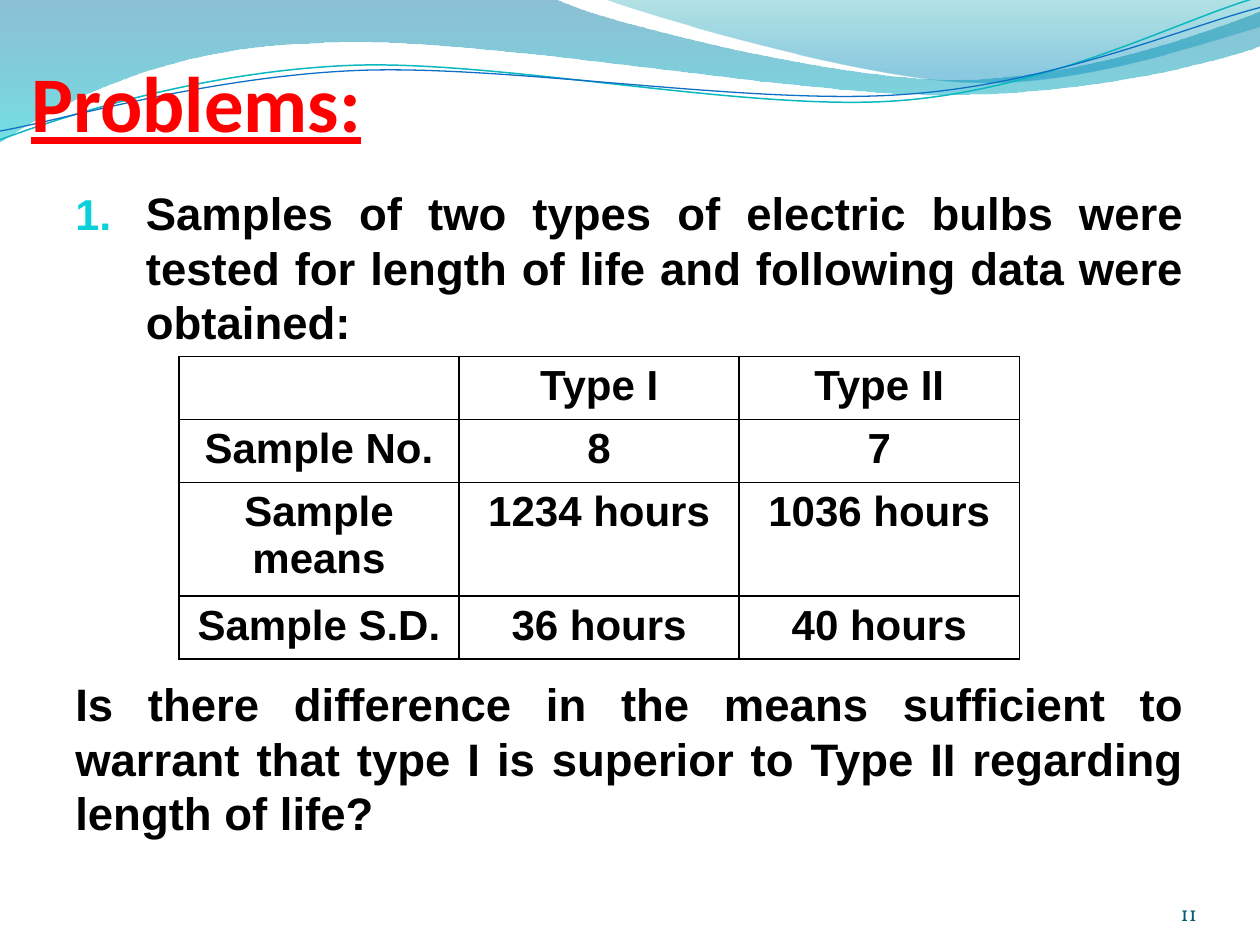
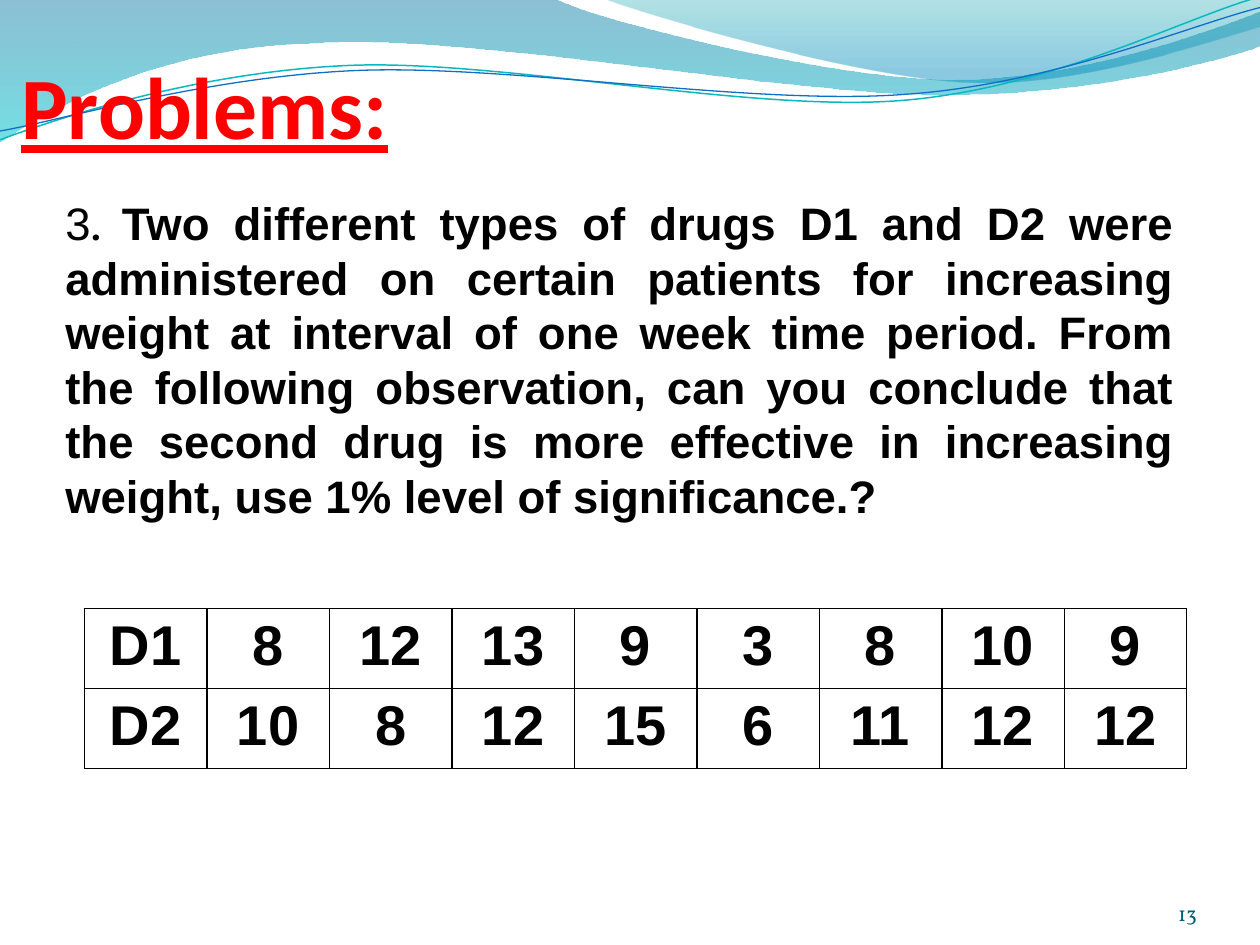
from lxml import etree
from pptx import Presentation
from pptx.dml.color import RGBColor
from pptx.enum.text import MSO_ANCHOR, PP_ALIGN
from pptx.oxml.ns import qn
from pptx.util import Inches, Pt

LEFT, CENTER, RIGHT = PP_ALIGN.LEFT, PP_ALIGN.CENTER, PP_ALIGN.RIGHT
JUSTIFY = PP_ALIGN.JUSTIFY
TOP, BOTTOM = MSO_ANCHOR.TOP, MSO_ANCHOR.BOTTOM

BLACK = RGBColor(0x00, 0x00, 0x00)
RED = RGBColor(0xFF, 0x00, 0x00)
PAGE = RGBColor(0x04, 0x5D, 0x75)
CYAN = RGBColor(0x0B, 0xD0, 0xD9)
TEAL = RGBColor(0x0A, 0xB8, 0xBF)
BLUE = RGBColor(0x0F, 0x6F, 0xC6)
DEEP = RGBColor(0x00, 0x74, 0xA1)
AQUA = RGBColor(0x00, 0xC6, 0xCF)
SEA = RGBColor(0x00, 0xA1, 0xA9)
SKY = RGBColor(0x00, 0x8B, 0xBF)

BODY = {"name": "Arial", "size": Pt(26), "bold": True}
PLAIN = BODY | {"bold": False}
HEAD = {"name": "Calibri", "bold": True, "underline": True}
FOOT = {"name": "Vollkorn", "size": Pt(12)}
ROW = 0.41

# Each wave is a start point and segments: 2 numbers a line, 6 a Bezier curve.
# Bands add gradient stops: position, colour, opacity in percent.
BANDS = [
    ((0, 0), [
        (4.4, -0.01),
        (4.76, 0.17, 6.64, 0.63, 7.58, 0.63),
        (8.53, 0.63, 9.58, 0.26, 10, 0.09),
        (10.01, 0.36),
        (9.83, 0.44, 8.7, 0.76, 7.46, 0.75),
        (6.22, 0.75, 3.82, 0.28, 2.57, 0.34),
        (1.29, 0.36, 0.46, 0.83, -0.01, 1.13),
    ], [(0, DEEP, 45), (1, AQUA, 55)]),
    ((4.79, -0.01), [
        (5.09, 0.11, 6.82, 0.62, 7.69, 0.65),
        (8.56, 0.69, 9.61, 0.32, 10, 0.21),
        (10, 0),
    ], [(0, SEA, 30), (0.8, SKY, 45)]),
]
CURVES = [
    ((0, 1.11), [
        (0.48, 0.93, 1.58, 0.57, 2.77, 0.52),
        (3.95, 0.47, 5.93, 0.89, 7.13, 0.8),
        (8.33, 0.71, 9.38, 0.15, 9.98, -0.02),
    ], TEAL, 0.85),
    ((0, 1.04), [
        (0.47, 0.96, 1.64, 0.61, 2.83, 0.56),
        (4.03, 0.51, 5.97, 0.84, 7.17, 0.75),
        (8.36, 0.67, 9.41, 0.21, 10, 0.06),
    ], BLUE, 0.75),
]


def add_wave(slide, start, parts, close):
    """Draw lines through all points, then join each curve's three into a Bezier."""
    pen = slide.shapes.build_freeform(*map(Inches, start))
    for part in parts:
        spots = [Inches(n) for n in part]
        pen.add_line_segments(list(zip(spots[::2], spots[1::2])), close=False)
    if close:
        pen.add_line_segments([], close=True)
    wave = pen.convert_to_shape()
    wave.shadow.inherit = False
    lines = iter(list(wave._element.iter(qn("a:lnTo"))))
    for part in parts:
        first = next(lines)
        if len(part) == 6:
            first.tag = qn("a:cubicBezTo")
            for _ in range(2):
                line = next(lines)
                first.append(line[0])
                line.getparent().remove(line)
    return wave


def add_band(slide, start, parts, stops):
    band = add_wave(slide, start, parts, True)
    band.line.fill.background()
    band.fill.gradient()
    band.fill.gradient_angle = 270
    for stop, (place, color, _) in zip(band.fill.gradient_stops, stops):
        stop.position = place
        stop.color.rgb = color
    tints = band._element.spPr.iter(qn("a:srgbClr"))
    for tint, (_, _, alpha) in zip(tints, stops):
        etree.SubElement(tint, qn("a:alpha"), val=str(alpha * 1000))


def add_curve(slide, start, parts, color, width):
    curve = add_wave(slide, start, parts, False)
    curve.fill.background()
    curve.line.color.rgb = color
    curve.line.width = Pt(width)


def add_text(para, runs, color=BLACK, align=LEFT):
    para.alignment = align
    for text, style in runs:
        run = para.add_run()
        run.text = text
        for key, value in style.items():
            setattr(run.font, key, value)
        run.font.color.rgb = color


def add_box(slide, box, anchor=TOP, inset=None):
    frame = slide.shapes.add_textbox(*map(Inches, box)).text_frame
    frame.word_wrap = True
    frame.vertical_anchor = anchor
    if inset:
        for side, gap in zip(("left", "top", "right", "bottom"), inset):
            setattr(frame, f"margin_{side}", Inches(gap))
    return frame


def number(para):
    """Give the paragraph a hanging coloured number."""
    props = para._p.get_or_add_pPr()
    props.set("marL", str(Inches(0.56)))
    props.set("indent", str(Inches(-0.56)))
    tint = etree.SubElement(props, qn("a:buClr"))
    etree.SubElement(tint, qn("a:srgbClr"), val=str(CYAN))
    etree.SubElement(props, qn("a:buSzPct"), val="95000")
    etree.SubElement(props, qn("a:buFont"), typeface="Arial")
    etree.SubElement(props, qn("a:buAutoNum"), type="arabicPeriod")


def set_border(cell):
    props = cell._tc.get_or_add_tcPr()
    for i, side in enumerate(("lnL", "lnR", "lnT", "lnB")):
        line = etree.Element(qn(f"a:{side}"), w=str(Pt(1)))
        fill = etree.SubElement(line, qn("a:solidFill"))
        etree.SubElement(fill, qn("a:srgbClr"), val=str(BLACK))
        props.insert(i, line)


def add_grid(slide, box, rows, size):
    """Add a table whose low rows grow to fit their text."""
    frame = slide.shapes.add_table(len(rows), len(rows[0]), *map(Inches, box))
    table = frame.table
    table.first_row = table.horz_banding = False
    for r, row in enumerate(rows):
        table.rows[r].height = Inches(ROW)
        for c, text in enumerate(row):
            cell = table.cell(r, c)
            cell.fill.background()
            set_border(cell)
            if text:
                add_text(cell.text_frame.paragraphs[0],
                         [(text, BODY | {"size": Pt(size)})], align=CENTER)
    frame.height = Inches(box[3])


def add_slide(deck, box, size, page):
    """Add a slide with the waves, title and page number."""
    slide = deck.slides.add_slide(deck.slide_layouts[6])
    for band in BANDS:
        add_band(slide, *band)
    for curve in CURVES:
        add_curve(slide, *curve)
    title = add_box(slide, box, BOTTOM, (0, 0.05, 0, 0))
    add_text(title.paragraphs[0], [("Problems:", HEAD | {"size": Pt(size)})], RED)
    foot = add_box(slide, (8.67, 6.95, 0.83, 0.4), BOTTOM, (0, 0, 0, 0))
    add_text(foot.paragraphs[0], [(page, FOOT)], PAGE, RIGHT)
    return slide


def add_bulbs(deck):
    slide = add_slide(deck, (0.25, 0.33, 9, 0.85), 45, "11")
    body = add_box(slide, (0.5, 1.42, 9, 5.5))
    task = body.paragraphs[0]
    add_text(task, [(
        "Samples of two types of electric bulbs were tested for length of life "
        "and following data were obtained:", BODY)], align=JUSTIFY)
    number(task)
    query = body.add_paragraph()
    query.space_before = Pt(187)
    add_text(query, [(
        "Is there difference in the means sufficient to warrant that type I is "
        "superior to Type II regarding length of life?", BODY)], align=JUSTIFY)
    add_grid(slide, (1.42, 2.83, 6.67, 2.4), [
        ("", "Type I", "Type II"),
        ("Sample No.", "8", "7"),
        ("Sample means", "1234 hours", "1036 hours"),
        ("Sample S.D.", "36 hours", "40 hours"),
    ], 24)


def add_drugs(deck):
    slide = add_slide(deck, (0.17, 0, 9, 1.25), 50, "13")
    body = add_box(slide, (0.42, 1.5, 9, 4.8))
    add_text(body.paragraphs[0], [
        ("3", PLAIN),
        (". ", PLAIN | {"name": "Vollkorn"}),
        ("Two different types of drugs D1 and D2 were administered on certain "
         "patients for increasing weight at interval of one week time period. "
         "From the following observation, can you conclude that the second drug "
         "is more effective in increasing weight, use 1% level of "
         "significance.?", BODY),
    ], align=JUSTIFY)
    add_grid(slide, (0.67, 4.83, 8.75, 1.27), [
        ("D1", "8", "12", "13", "9", "3", "8", "10", "9"),
        ("D2", "10", "8", "12", "15", "6", "11", "12", "12"),
    ], 32)


def main():
    deck = Presentation()
    deck.slide_width, deck.slide_height = Inches(10), Inches(7.5)
    add_bulbs(deck)
    add_drugs(deck)
    deck.save("out.pptx")


if __name__ == "__main__":
    main()
